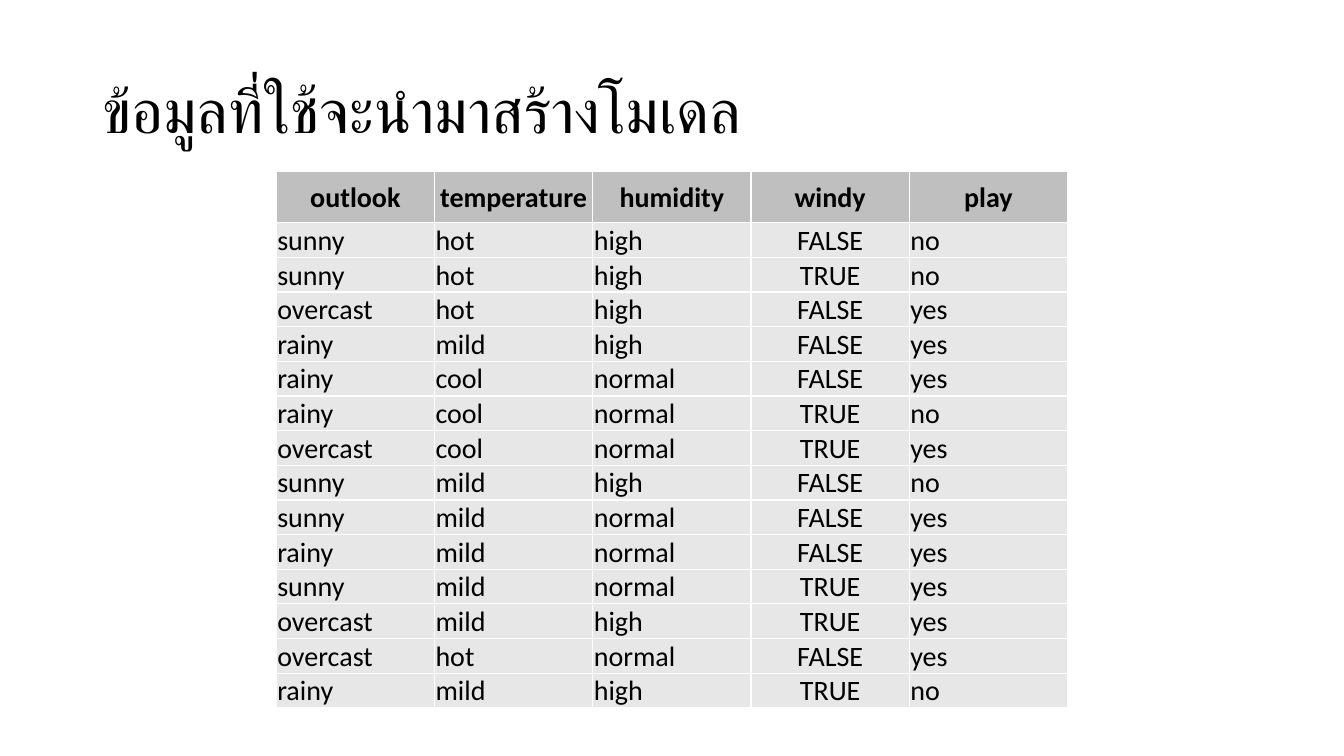
import pptx
import pptx.util
import pptx.dml.color
import pptx.enum.text
import pptx.oxml
import pptx.oxml.ns

Inches, Pt = pptx.util.Inches, pptx.util.Pt
PP_ALIGN = pptx.enum.text.PP_ALIGN
ANCHOR = pptx.enum.text.MSO_ANCHOR


def rgb(value):
    return pptx.dml.color.RGBColor.from_string(value)


def style(p, size, bold=False):
    p.font.name = "Calibri"
    p.font.size = Pt(size)
    p.font.bold = bold
    p.font.color.rgb = rgb("000000")


header = ["outlook", "temperature", "humidity", "windy", "play"]
records = """
sunny hot high FALSE no
sunny hot high TRUE no
overcast hot high FALSE yes
rainy mild high FALSE yes
rainy cool normal FALSE yes
rainy cool normal TRUE no
overcast cool normal TRUE yes
sunny mild high FALSE no
sunny mild normal FALSE yes
rainy mild normal FALSE yes
sunny mild normal TRUE yes
overcast mild high TRUE yes
overcast hot normal FALSE yes
rainy mild high TRUE no
""".strip().splitlines()
rows = [header] + [record.split() for record in records]

prs = pptx.Presentation()
prs.slide_width, prs.slide_height = Inches(13.33), Inches(7.5)
s = prs.slides.add_slide(prs.slide_layouts[6])

title = s.shapes.add_textbox(Inches(0.92), Inches(0.4), Inches(11.5), Inches(1.45))
tf = title.text_frame
tf.word_wrap = True
tf.vertical_anchor = ANCHOR.MIDDLE
p = tf.paragraphs[0]
p.text = "ข้อมูลที่ใช้จะนำมาสร้างโมเดล"
p.line_spacing = 0.9
style(p, 44)

col_w, head_h, row_h = 1.57, 0.51, 0.34
frame = s.shapes.add_table(
    len(rows), len(header), Inches(2.74), Inches(1.7),
    Inches(col_w * len(header)), Inches(head_h + row_h * len(records)))
table = frame.table
for column in table.columns:
    column.width = Inches(col_w)

for i, values in enumerate(rows):
    is_head = i == 0
    table.rows[i].height = Inches(head_h if is_head else row_h)
    for j, value in enumerate(values):
        cell = table.cell(i, j)
        cell.margin_left = cell.margin_top = cell.margin_right = Inches(0.01)
        cell.margin_bottom = 0
        cell.vertical_anchor = ANCHOR.MIDDLE if is_head else ANCHOR.BOTTOM
        p = cell.text_frame.paragraphs[0]
        p.text = value
        centred = is_head or header[j] == "windy"
        p.alignment = PP_ALIGN.CENTER if centred else PP_ALIGN.LEFT
        style(p, 20, is_head)
        tcPr = cell._tc.get_or_add_tcPr()
        for side in "LRTB":
            tcPr.append(pptx.oxml.parse_xml(
                f'<a:ln{side} {pptx.oxml.ns.nsdecls("a")} w="{Pt(1)}"><a:solidFill>'
                f'<a:srgbClr val="FFFFFF"/></a:solidFill></a:ln{side}>'))
        cell.fill.solid()
        cell.fill.fore_color.rgb = rgb("BFBFBF" if is_head else "E7E7E7")

prs.save("out.pptx")
